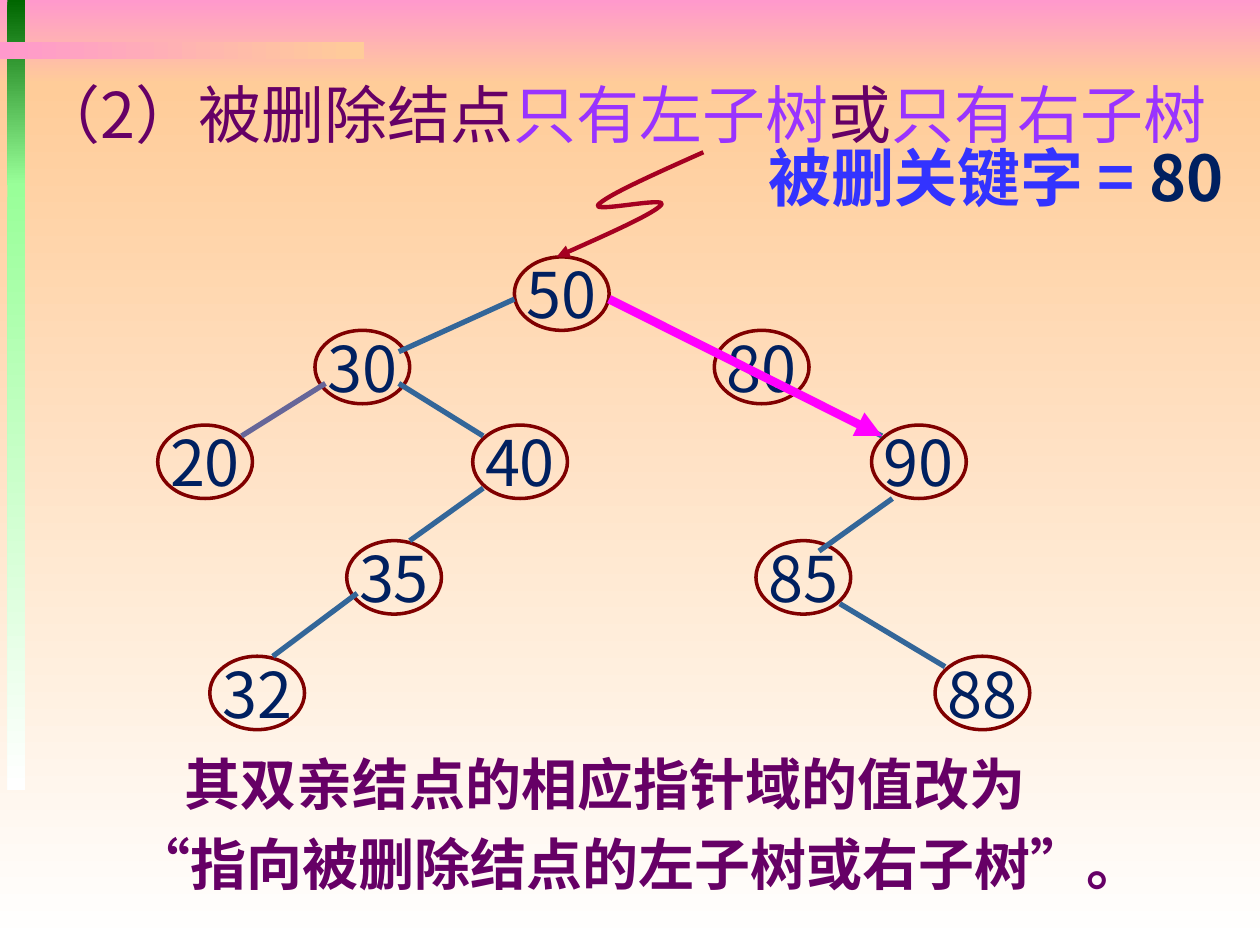
from lxml import etree
from pptx import Presentation
from pptx import util as u
from pptx.dml.color import RGBColor
from pptx.enum import shapes, text
from pptx.oxml.ns import qn

FONT = "Noto Sans CJK SC"
COLORS = {
    "pink": "FF99CC", "peach": "FFCC99", "white": "FFFFFF",
    "green": "006600", "light green": "99FF99",
    "ring": "800000", "key": "002060", "edge": "336699", "leaf edge": "666699",
    "new pointer": "FF00FF", "root pointer": "A50021",
    "plum": "660066", "violet": "9933FF", "blue": "3333FF",
}
LEVELS = [5.18, 6.66, 8.57, 10.9, 13.23]
NODE_SIZE = (1.91, 1.48)
# key: (left, level)
NODES = {
    50: (10.37, 0), 30: (6.35, 1), 80: (14.4, 1),
    20: (3.18, 2), 40: (9.53, 2), 90: (17.57, 2),
    35: (6.99, 3), 85: (15.24, 3), 32: (4.23, 4), 88: (18.85, 4),
}
EDGES = [
    (10.37, 6.03, 8.04, 7.09), (12.28, 6.03, 14.4, 7.09),
    (8.04, 7.73, 9.74, 8.79), (9.74, 9.84, 8.26, 10.9),
    (16.09, 7.94, 17.78, 8.79), (17.99, 10.05, 16.51, 11.11),
    (16.93, 12.17, 19.05, 13.44), (7.2, 11.96, 5.5, 13.23),
]
SQUIGGLE = [
    (14.18, 3.07), (13.19, 3.51), (12.21, 3.95), (12.06, 4.13),
    (11.92, 4.3), (13.48, 3.95), (13.33, 4.13),
    (13.19, 4.3), (12.21, 4.74), (11.22, 5.18),
]


def rgb(name):
    return RGBColor.from_string(COLORS[name])


def write(frame, runs, size=36, bold=False, align=text.PP_ALIGN.LEFT,
          anchor=text.MSO_ANCHOR.TOP, wrap=True, spacing=1.0, indent=0):
    """Fill a text frame with one paragraph of (words, colour) runs."""
    frame.word_wrap = wrap
    frame.auto_size = text.MSO_AUTO_SIZE.NONE
    frame.vertical_anchor = anchor
    paragraph = frame.paragraphs[0]
    paragraph.alignment = align
    paragraph.line_spacing = spacing
    if indent:
        paragraph._p.get_or_add_pPr().set("indent", str(u.Cm(indent)))
    for words, color in runs:
        run = paragraph.add_run()
        run.text = words
        run.font.size = u.Pt(size)
        run.font.bold = bold
        run.font.name = FONT
        run.font.color.rgb = rgb(color)
        etree.SubElement(run._r.get_or_add_rPr(), qn("a:ea")).set("typeface", FONT)


class Board:
    """Holds the slide and draws each kind of element in its style."""

    def __init__(self, slide):
        self.slide = slide
        self.shapes = slide.shapes

    def band(self, left, top, width, height, start, end, angle=270):
        strip = self.shapes.add_shape(
            shapes.MSO_SHAPE.RECTANGLE, *map(u.Cm, (left, top, width, height)))
        strip.shadow.inherit = False
        strip.line.fill.background()
        strip.fill.gradient()
        strip.fill.gradient_angle = angle
        for stop, color in zip(strip.fill.gradient_stops, (start, end)):
            stop.color.rgb = rgb(color)

    def column(self, left, width, stops):
        """Stack bands that fade from each (top, colour) stop to the next."""
        for (top, start), (bottom, end) in zip(stops, stops[1:]):
            self.band(left, top, width, bottom - top, start, end)

    def title(self, left, top, width, height, runs, **style):
        heading = self.shapes.title
        heading.left, heading.top, heading.width, heading.height = map(
            u.Cm, (left, top, width, height))
        write(heading.text_frame, runs, **style)
        self.shapes._spTree.append(heading._element)  # in front of the bands

    def label(self, left, top, width, height, runs, **style):
        box = self.shapes.add_textbox(*map(u.Cm, (left, top, width, height)))
        write(box.text_frame, runs, **style)

    def node(self, key, left, level):
        ring = self.shapes.add_shape(
            shapes.MSO_SHAPE.OVAL, *map(u.Cm, (left, LEVELS[level], *NODE_SIZE)))
        ring.shadow.inherit = False
        ring.fill.background()
        self.stroke(ring, "ring", 2)
        write(ring.text_frame, [(str(key), "key")], wrap=False,
              align=text.PP_ALIGN.CENTER, anchor=text.MSO_ANCHOR.MIDDLE)

    def edge(self, ends, color="edge", width=3, arrow=False):
        link = self.shapes.add_connector(
            shapes.MSO_CONNECTOR.STRAIGHT, *map(u.Cm, ends))
        self.stroke(link, color, width, arrow)
        etree.SubElement(link._element.spPr, qn("a:effectLst"))

    def curve(self, points, color, width):
        """Draw joined Bezier curves: a start, then three points for each."""
        start, *rest = [(u.Cm(x), u.Cm(y)) for x, y in points]
        builder = self.shapes.build_freeform(*start)
        builder.add_line_segments(rest, close=False)
        pointer = builder.convert_to_shape()
        pointer.shadow.inherit = False
        pointer.fill.background()
        self.stroke(pointer, color, width, arrow=True)
        outline = pointer._element.spPr.find(".//" + qn("a:path"))
        for number, step in enumerate(outline.findall(qn("a:lnTo"))):
            if number % 3 == 0:
                bezier = etree.SubElement(outline, qn("a:cubicBezTo"))
            bezier.append(step[0])
            outline.remove(step)

    def stroke(self, shape, color, width, arrow=False):
        shape.line.color.rgb = rgb(color)
        shape.line.width = u.Pt(width)
        if arrow:
            tip = etree.SubElement(shape.line._get_or_add_ln(), qn("a:tailEnd"))
            tip.set("type", "triangle")


def main():
    deck = Presentation()
    deck.slide_width, deck.slide_height = u.Cm(25.4), u.Cm(19.05)
    board = Board(deck.slides.add_slide(deck.slide_layouts[5]))

    board.column(0, 25.4, [(0, "pink"), (1.7, "peach"), (19.05, "white")])
    board.column(0.15, 0.36, [(0, "green"), (3.73, "light green"), (15.93, "white")])
    board.band(0, 0.84, 7.34, 0.36, "pink", "peach", angle=0)

    board.title(0.51, 1.09, 24.28, 1.85, [
        ("（2）被删除结点", "plum"), ("只有左子树", "violet"),
        ("或", "plum"), ("只有右子树", "violet")], spacing=1.2)

    for key, (left, level) in NODES.items():
        board.node(key, left, level)
    for ends in EDGES:
        board.edge(ends)
    board.edge((6.56, 7.73, 4.87, 8.79), "leaf edge")
    board.edge((12.28, 6.03, 17.78, 8.79), "new pointer", 5, arrow=True)

    board.label(2.46, 14.71, 20.47, 3.33, [
        ("其双亲结点的相应指针域的值改为 “指向被删除结点的左子树或右子树”。", "plum")],
        size=32, bold=True, spacing=1.2, indent=1.02)
    board.curve(SQUIGGLE, "root pointer", 2.5)
    board.label(15.24, 2.67, 10.19, 1.8, [
        ("被删关键字 = ", "blue"), ("80", "key")], bold=True, wrap=False)

    deck.save("out.pptx")


if __name__ == "__main__":
    main()
